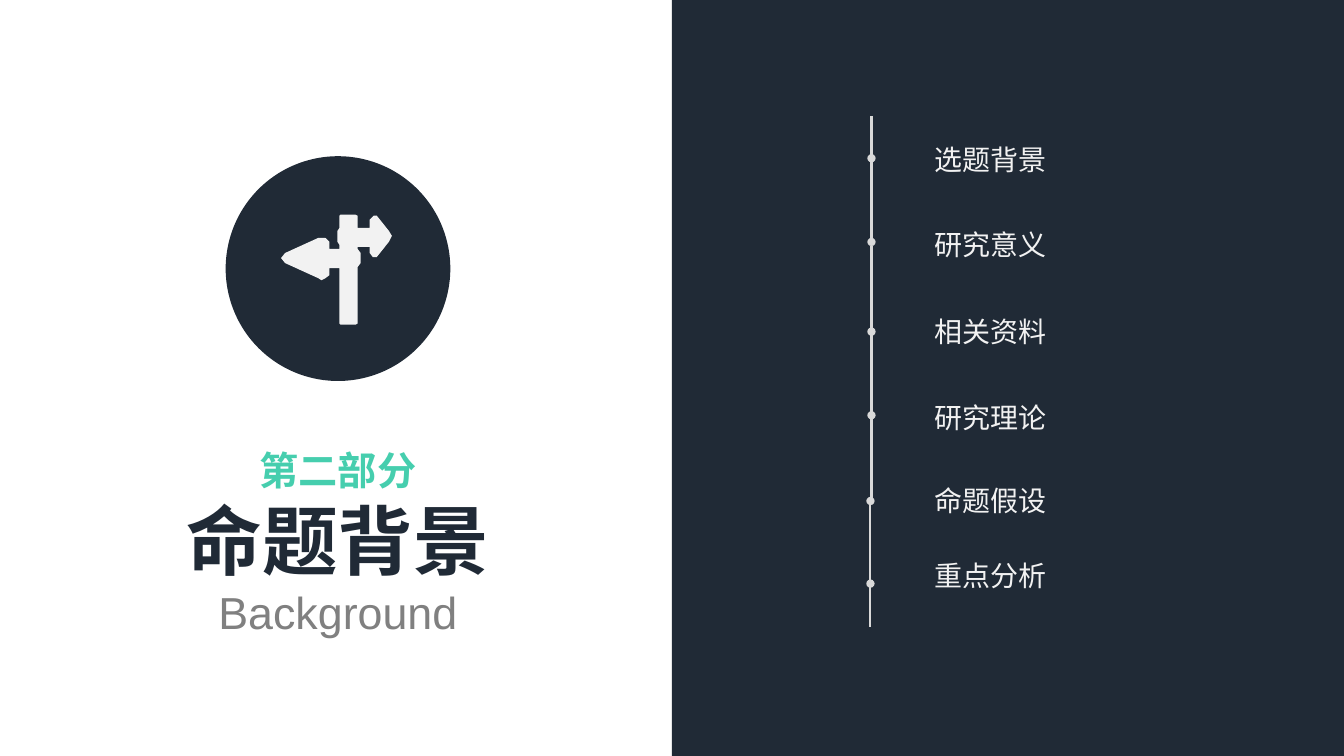
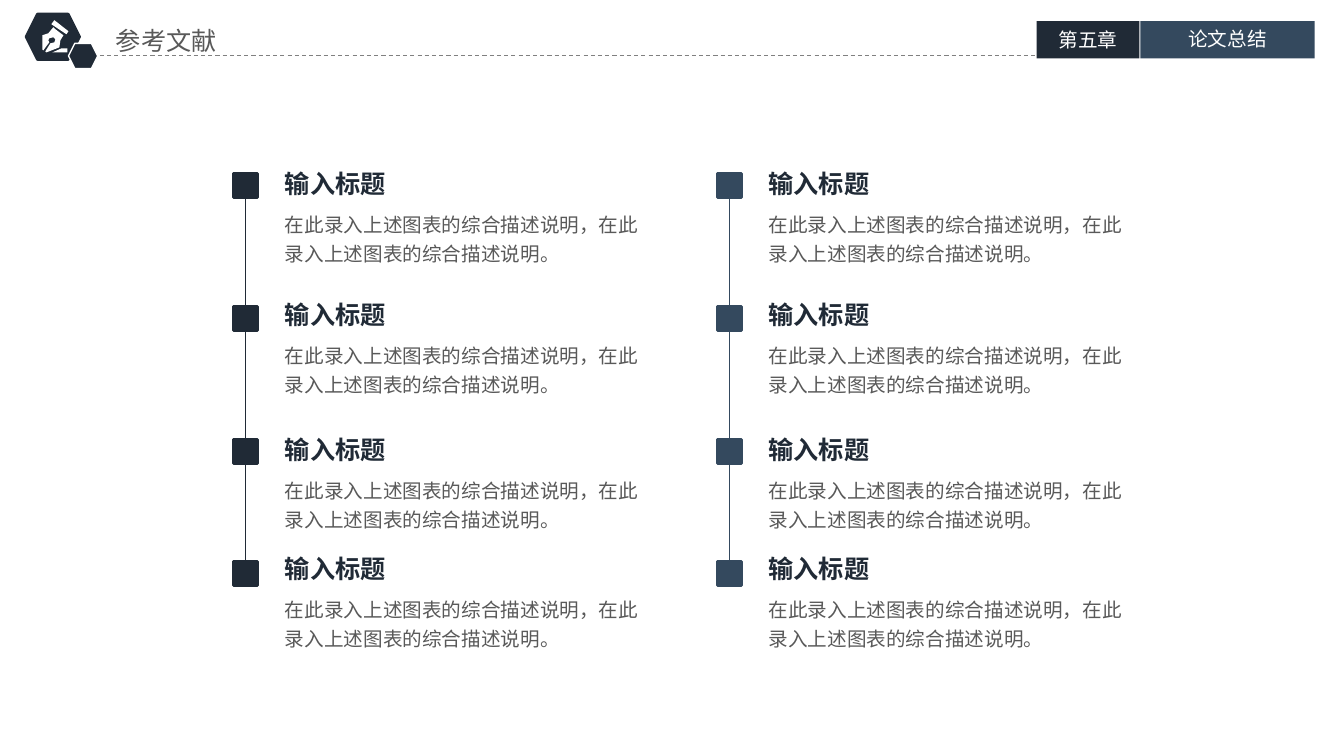
from dataclasses import dataclass
from itertools import pairwise

from lxml.etree import SubElement
from pptx import Presentation
from pptx.dml.color import RGBColor
from pptx.enum.dml import MSO_LINE
from pptx.enum.shapes import MSO_CONNECTOR, MSO_SHAPE
from pptx.enum.text import MSO_AUTO_SIZE, PP_ALIGN
from pptx.oxml.ns import qn
from pptx.util import Emu, Pt

PX = 9144  # 100 px to the inch


@dataclass(frozen=True)
class Theme:
    navy: str = "202A36"
    slate: str = "34495E"
    mint: str = "46CEAE"
    white: str = "FFFFFF"
    pale: str = "F2F2F2"
    silver: str = "D9D9D9"
    grey: str = "808080"
    body: str = "595959"
    cjk: str = "Noto Sans CJK SC"
    latin: str = "Arial"
    hero_size: int = 54
    subtitle_size: int = 32
    part_size: int = 28
    topic_size: int = 20
    heading_size: int = 18
    body_size: int = 14


class Deck:
    def __init__(self, theme):
        self.theme = theme
        self.prs = Presentation()
        self.prs.slide_width, self.prs.slide_height = Emu(1334 * PX), Emu(750 * PX)
        self.slide = None

    def new_slide(self):
        self.slide = self.prs.slides.add_slide(self.prs.slide_layouts[6])

    def paint(self, shape, fill, line=None, weight=0):
        shape.shadow.inherit = False
        shape.fill.solid()
        shape.fill.fore_color.rgb = RGBColor.from_string(fill)
        if line:
            shape.line.color.rgb = RGBColor.from_string(line)
            shape.line.width = Pt(weight)
        else:
            shape.line.fill.background()

    def shape(self, kind, box, fill, line=None, weight=0):
        shape = self.slide.shapes.add_shape(kind, *(Emu(n * PX) for n in box))
        self.paint(shape, fill, line, weight)

    def outline(self, contours, fill):
        first, *others = contours
        builder = self.slide.shapes.build_freeform(*first[0], scale=PX)
        builder.add_line_segments(first[1:], close=True)
        for contour in others:
            builder.move_to(*contour[0])
            builder.add_line_segments(contour[1:], close=True)
        self.paint(builder.convert_to_shape(), fill)

    def line(self, start, end, color, weight, dashed=False, dot=False):
        points = (Emu(n * PX) for n in (*start, *end))
        rule = self.slide.shapes.add_connector(MSO_CONNECTOR.STRAIGHT, *points)
        rule.line.color.rgb = RGBColor.from_string(color)
        rule.line.width = Pt(weight)
        if dashed:
            rule.line.dash_style = MSO_LINE.DASH
        if dot:
            SubElement(rule.line._get_or_add_ln(), qn("a:tailEnd"), type="oval")
        SubElement(rule._element.spPr, qn("a:effectLst"))

    def text(self, box, lines, align=PP_ALIGN.LEFT, wrap=False, inset=(10, 5), spacing=None):
        """Each line is (words, size, colour, bold, font)."""
        frame = self.slide.shapes.add_textbox(*(Emu(n * PX) for n in box)).text_frame
        frame.word_wrap = wrap
        frame.auto_size = MSO_AUTO_SIZE.SHAPE_TO_FIT_TEXT
        frame.margin_left = frame.margin_right = Emu(inset[0] * PX)
        frame.margin_top = frame.margin_bottom = Emu(inset[1] * PX)
        for i, (words, size, color, bold, font) in enumerate(lines):
            paragraph = frame.add_paragraph() if i else frame.paragraphs[0]
            paragraph.alignment = align
            if spacing:
                paragraph.line_spacing = spacing
            run = paragraph.add_run()
            run.text = words
            run.font.size, run.font.bold, run.font.name = Pt(size), bold, font
            run.font.color.rgb = RGBColor.from_string(color)
            SubElement(run._r.get_or_add_rPr(), qn("a:ea"), typeface=font)

    def header(self, title, chapter, section):
        t = self.theme
        self.text((108, 21, 205, 38), [(title, t.heading_size, t.body, False, t.cjk)],
                  wrap=True, inset=(7, 4))
        self.shape(MSO_SHAPE.HEXAGON, (26, 14, 53, 45), t.navy, t.navy, 2)
        self.line((92, 55), (1029, 55), t.grey, 0.75, dashed=True)
        self.shape(MSO_SHAPE.HEXAGON, (68, 43, 29, 25), t.navy, t.white, 1)
        for left, width, fill, label, top in ((1029, 102, t.navy, chapter, 24),
                                              (1132, 173, t.slate, section, 23)):
            self.shape(MSO_SHAPE.RECTANGLE, (left, 21, width, 37), fill)
            self.text((left, top, width, 31), [(label, t.body_size, t.white, False, t.cjk)],
                      PP_ALIGN.CENTER, wrap=True, inset=(7, 4))
        self.outline(PEN, t.white)

    def reference(self, left, top, heading, description):
        t = self.theme
        self.text((left, top, 121, 40), [(heading, t.heading_size, t.navy, True, t.cjk)])
        self.text((left, top + 40, 378, 67), [(description, t.body_size, t.body, False, t.cjk)],
                  wrap=True, spacing=1.2)


# Icon outlines
SIGNPOST = [[
    (386, 229), (374, 214), (371, 214), (367, 218), (367, 226), (355, 226), (355, 214),
    (353, 213), (338, 213), (337, 214), (337, 226), (335, 229), (335, 240), (337, 243),
    (337, 247), (327, 247), (327, 240), (323, 236), (316, 236), (283, 251), (279, 256),
    (283, 261), (316, 276), (319, 278), (323, 276), (327, 273), (327, 266), (337, 266),
    (337, 321), (338, 322), (353, 322), (355, 321), (355, 265), (358, 261), (358, 251),
    (355, 247), (355, 245), (367, 245), (367, 251), (370, 255), (374, 255), (386, 240),
    (389, 234),
]]
PEN = [
    [(43, 50), (42, 49), (42, 35), (48, 33), (53, 27), (55, 29), (63, 35), (60, 40),
     (59, 47), (46, 52), (45, 51), (50, 43), (54, 42), (55, 39), (53, 37), (49, 38),
     (48, 40), (49, 42)],
    [(52, 52), (67, 52), (67, 48), (61, 48)],
    [(66, 34), (68, 31), (54, 20), (51, 24)],
]


def section_slide(deck):
    t = deck.theme
    deck.new_slide()
    # Icon and section title
    deck.shape(MSO_SHAPE.OVAL, (224, 155, 223, 223), t.navy)
    deck.outline(SIGNPOST, t.pale)
    deck.text((247, 438, 177, 57), [("第二部分", t.part_size, t.mint, True, t.cjk)],
              PP_ALIGN.CENTER)
    deck.text((174, 485, 323, 155),
              [("命题背景", t.hero_size, t.navy, True, t.cjk),
               ("Background", t.subtitle_size, t.grey, False, t.latin)], PP_ALIGN.CENTER)
    # Topic panel with its timeline
    deck.shape(MSO_SHAPE.RECTANGLE, (667, 0, 667, 750), t.navy)
    topics = (("选题背景", 136), ("研究意义", 221), ("相关资料", 307),
              ("研究理论", 392), ("命题假设", 475), ("重点分析", 549))
    for topic, top in topics:
        deck.text((918, top, 132, 44), [(topic, t.topic_size, t.pale, False, t.cjk)])
    deck.line((865, 157), (865, 115), t.silver, 1.5)
    stops = ((865, 157), (865, 240), (865, 329), (865, 412),
             (864, 497), (864, 579), (864, 622))
    for stop, (_, next_y) in pairwise(stops):
        deck.line((stop[0], next_y), stop, t.silver, 1.5, dot=True)


def references_slide(deck):
    t = deck.theme
    deck.new_slide()
    deck.header("参考文献", "第五章", "论文总结")
    # Two columns of references, each joined by a line
    marker = 24
    marker_tops, heading_tops = (172, 304, 436, 557), (162, 292, 426, 544)
    for left, color in ((232, t.navy), (712, t.slate)):
        middle = left + marker // 2
        for upper, lower in pairwise(marker_tops):
            deck.line((middle, upper + marker), (middle, lower), color, 0.75)
        for marker_top, heading_top in zip(marker_tops, heading_tops):
            deck.shape(MSO_SHAPE.RECTANGLE, (left, marker_top, marker, marker), color, color, 2)
            deck.reference(left + 41, heading_top, "输入标题",
                           "在此录入上述图表的综合描述说明，在此录入上述图表的综合描述说明。")


def main():
    deck = Deck(Theme())
    section_slide(deck)
    references_slide(deck)
    deck.prs.save("out.pptx")


if __name__ == "__main__":
    main()
